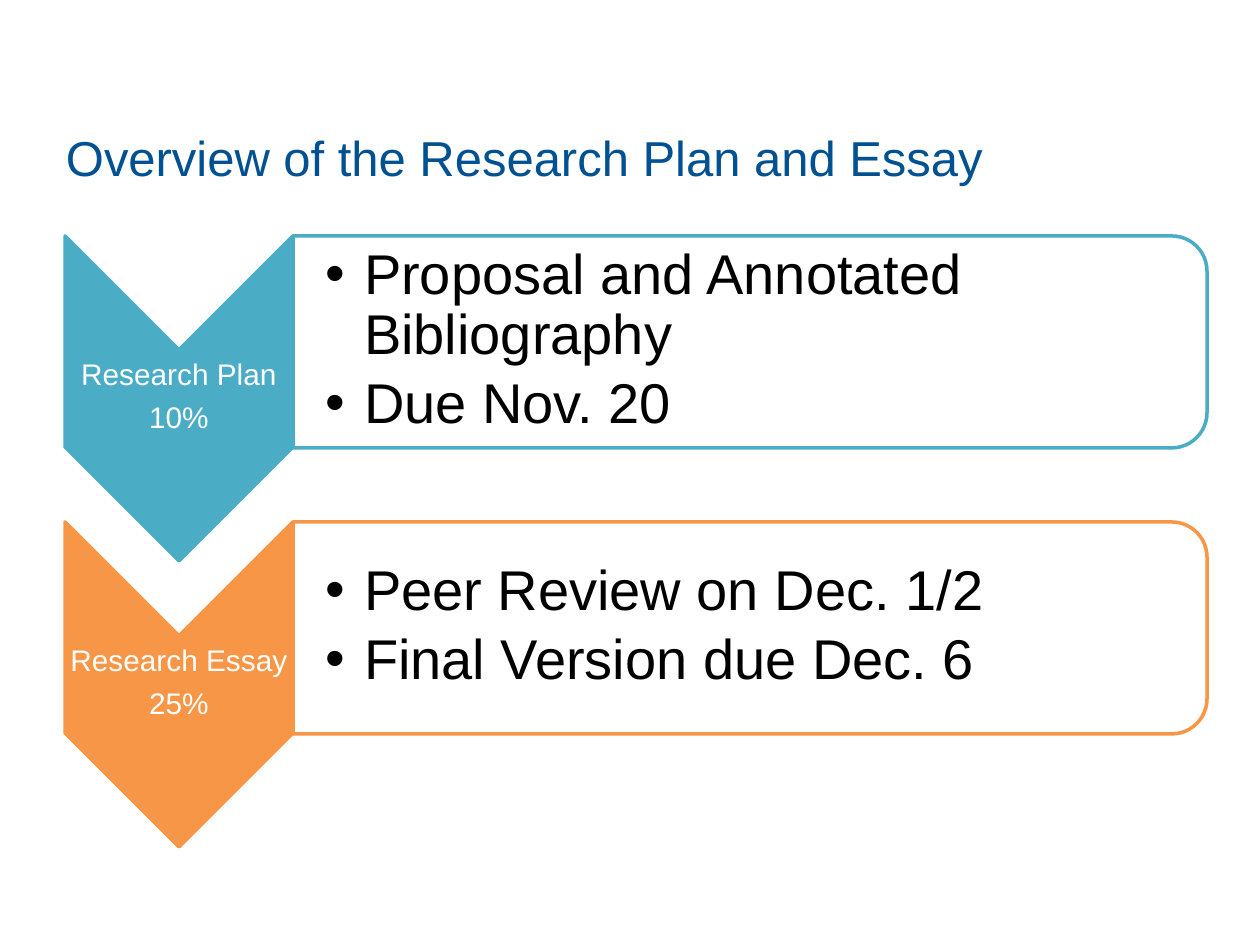
from dataclasses import dataclass

from lxml.etree import SubElement
from pptx import Presentation
from pptx.dml.color import RGBColor
from pptx.enum.shapes import MSO_SHAPE as Shape
from pptx.enum.text import MSO_ANCHOR as Anchor, PP_ALIGN as Align
from pptx.oxml.ns import qn
from pptx.util import Emu, Pt

EMU_PER_PX = 914400 / 126
FONT = "Arial"
NAVY = RGBColor(0x00, 0x51, 0x91)
TEAL = RGBColor(0x4B, 0xAC, 0xC6)
ORANGE = RGBColor(0xF7, 0x96, 0x46)
WHITE = RGBColor(0xFF, 0xFF, 0xFF)
BLACK = RGBColor(0x00, 0x00, 0x00)


@dataclass(frozen=True)
class Stage:
    label: tuple[str, ...]
    bullets: tuple[str, ...]
    color: RGBColor


STAGES = (
    Stage(("Research Plan", "10%"),
          ("Proposal and Annotated Bibliography", "Due Nov. 20"), TEAL),
    Stage(("Research Essay", "25%"),
          ("Peer Review on Dec. 1/2", "Final Version due Dec. 6"), ORANGE),
)
FIRST_TOP, STAGE_PITCH = 236, 286


def px(n: float) -> Emu:
    return Emu(round(n * EMU_PER_PX))


def add_text(slide, lines, x: int, y: int, w: int, h: int, *, size: int,
             color: RGBColor, align=Align.LEFT, insets=(13, 6, 13, 6),
             line_spacing=1.0, space_after=0, bullet_indent=0) -> None:
    """Add a middle-anchored text box with one paragraph per line."""
    tf = slide.shapes.add_textbox(px(x), px(y), px(w), px(h)).text_frame
    tf.word_wrap = True
    tf.vertical_anchor = Anchor.MIDDLE
    (tf.margin_left, tf.margin_top,
     tf.margin_right, tf.margin_bottom) = map(px, insets)
    for i, line in enumerate(lines):
        p = tf.paragraphs[0] if i == 0 else tf.add_paragraph()
        p.alignment = align
        p.line_spacing = line_spacing
        p.space_after = Pt(space_after)
        if bullet_indent:
            pPr = p._p.get_or_add_pPr()
            pPr.set("marL", str(px(bullet_indent)))
            pPr.set("indent", str(-px(bullet_indent)))
            SubElement(pPr, qn("a:buFont")).set("typeface", FONT)
            SubElement(pPr, qn("a:buChar")).set("char", "•")
        r = p.add_run()
        r.text = line
        r.font.name, r.font.size = FONT, Pt(size)
        r.font.color.rgb = color


def add_turned_shape(slide, kind: Shape, x: int, y: int, w: int, h: int,
                     fill: RGBColor, line: RGBColor):
    """Add a shape turned by 90 degrees that covers the given frame."""
    s = slide.shapes.add_shape(kind, px(x + (w - h) / 2), px(y + (h - w) / 2),
                               px(h), px(w))
    s.rotation = 90
    s.shadow.inherit = False
    s.fill.solid()
    s.fill.fore_color.rgb = fill
    s.line.color.rgb = line
    s.line.width = Pt(2)
    return s


def add_stage(slide, stage: Stage, top: int) -> None:
    # Chevron and its label
    add_turned_shape(slide, Shape.CHEVRON, 65, top, 228, 325,
                     stage.color, stage.color)
    add_text(slide, stage.label, 65, top + 113, 228, 97, size=17, color=WHITE,
             align=Align.CENTER, insets=(1, 1, 1, 1),
             line_spacing=0.9, space_after=6)
    # Panel and its bullets
    panel = add_turned_shape(slide, Shape.ROUND_2_SAME_RECTANGLE,
                             293, top, 914, 212, WHITE, stage.color)
    rgb = panel._element.spPr.find(qn("a:solidFill")).find(qn("a:srgbClr"))
    SubElement(rgb, qn("a:alpha")).set("val", "90000")
    add_text(slide, stage.bullets, 294, top + 10, 903, 190, size=32,
             color=BLACK, insets=(31, 3, 3, 3), line_spacing=0.9,
             space_after=5, bullet_indent=39)


def main() -> None:
    prs = Presentation()
    prs.slide_width, prs.slide_height = px(1260), px(945)
    slide = prs.slides.add_slide(prs.slide_layouts[6])
    # Title
    add_text(slide, ["Overview of the Research Plan and Essay"],
             53, 78, 961, 158, size=28, color=NAVY)
    # Stages
    for i, stage in enumerate(STAGES):
        add_stage(slide, stage, FIRST_TOP + i * STAGE_PITCH)
    prs.save("out.pptx")


if __name__ == "__main__":
    main()
